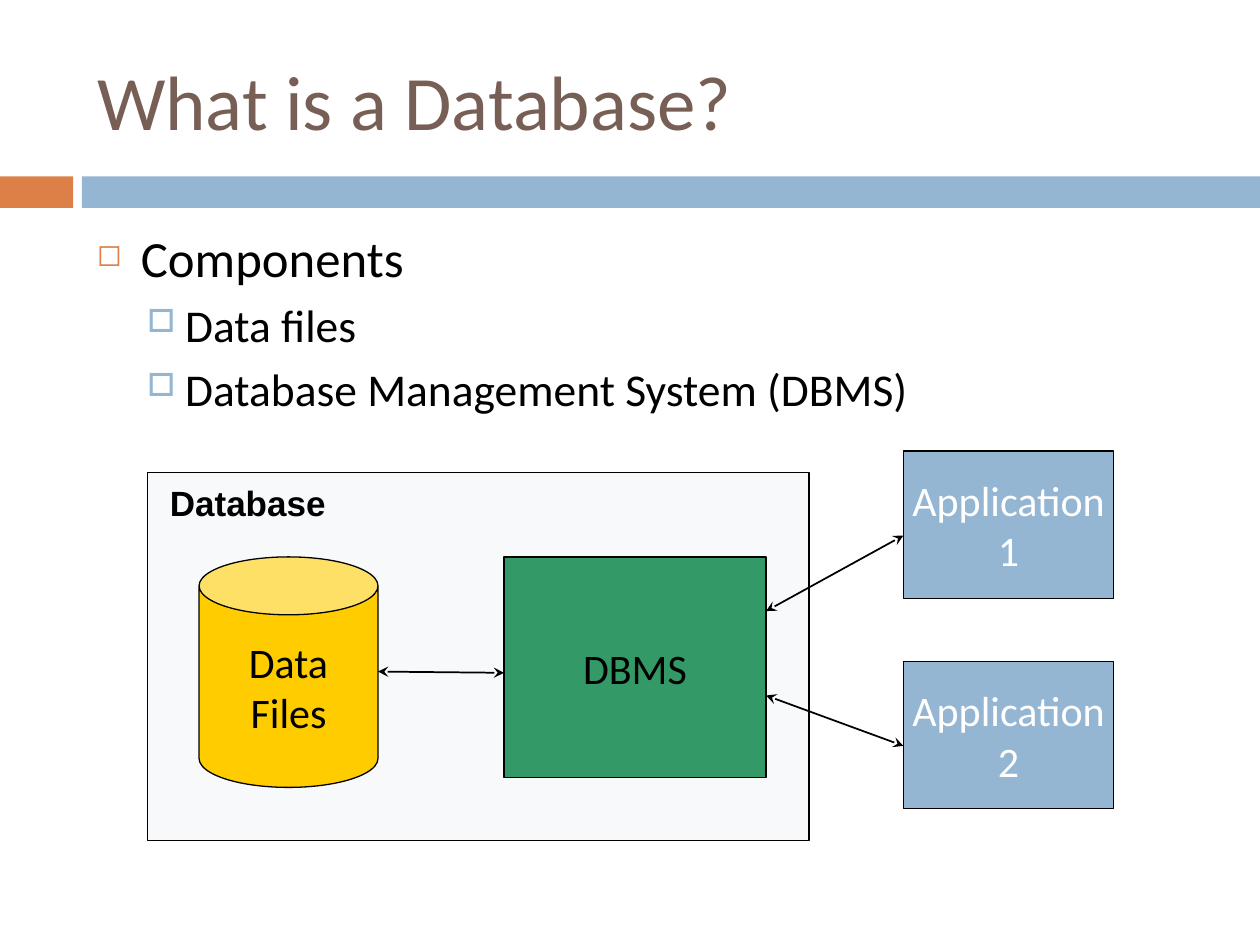
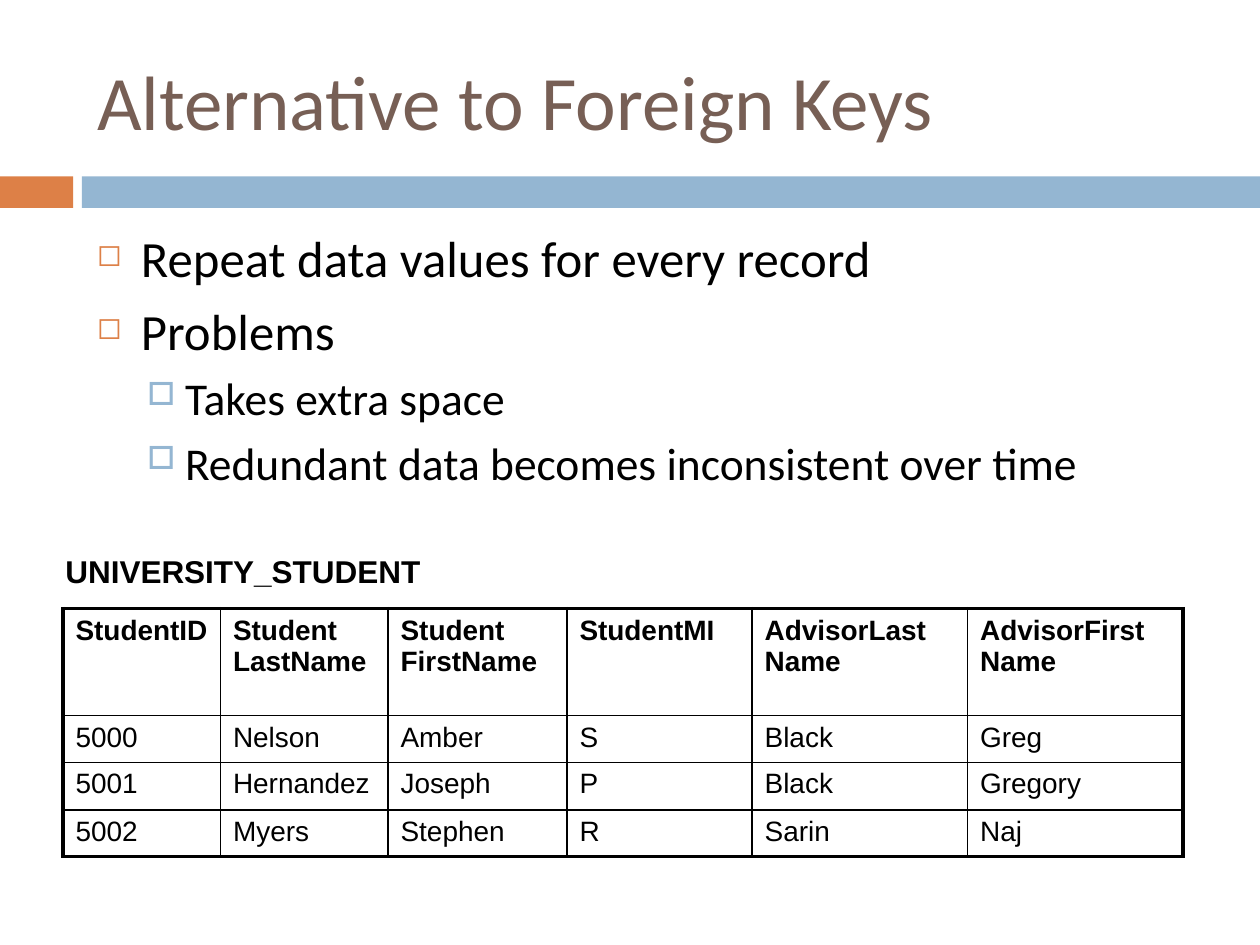
from dataclasses import dataclass

import lxml.etree
import pptx
import pptx.dml.color
import pptx.enum.shapes
import pptx.enum.text
import pptx.oxml.ns
import pptx.util

Inches, Pt = pptx.util.Inches, pptx.util.Pt
SHAPE = pptx.enum.shapes.MSO_SHAPE
ALIGN = pptx.enum.text.PP_ALIGN
ANCHOR = pptx.enum.text.MSO_ANCHOR
qn = pptx.oxml.ns.qn


@dataclass(frozen=True)
class Theme:
    black: str = "000000"
    white: str = "FFFFFF"
    brown: str = "775F55"
    orange: str = "DD8047"
    blue: str = "94B6D2"
    yellow: str = "FFCC00"
    green: str = "339966"
    font: str = "Calibri"
    label_font: str = "Arial"
    title_size: int = 44
    node_size: int = 24
    label_size: int = 20
    caption_size: int = 18
    cell_size: int = 16
    outline: float = 0.75
    thin: float = 1
    thick: float = 2.25


THEME = Theme()

# Bullet levels: text size, left indent, hanging indent, space before, mark, colour, mark size
LEVELS = [
    (29, 0.35, 0.35, 7, "◻", THEME.orange, 60),
    (26, 0.7, 0.3, 5.5, "□", THEME.blue, 70),
]
BANDS = [(0, 0.58, THEME.orange), (0.65, 9.35, THEME.blue)]  # left, width, colour

COMPONENTS_TITLE = "What is a Database?"
COMPONENTS = [
    (0, "Components"),
    (1, "Data files"),
    (1, "Database Management System (DBMS)"),
]
DATABASE_FRAME = (1.17, 3.75, 5.25, 2.92)
NODES = [  # shape, box, fill, text colour, text
    (SHAPE.CAN, (1.58, 4.42, 1.42, 1.83), THEME.yellow, THEME.black, "Data\nFiles"),
    (SHAPE.RECTANGLE, (4, 4.42, 2.08, 1.75), THEME.green, THEME.black, "DBMS"),
    (SHAPE.RECTANGLE, (7.17, 3.58, 1.67, 1.17), THEME.blue, THEME.white, "Application\n1"),
    (SHAPE.RECTANGLE, (7.17, 5.25, 1.67, 1.17), THEME.blue, THEME.white, "Application\n2"),
]
CAN_RIM = 0.324
ARROWS = [  # from x, from y, to x, to y
    (3, 5.33, 4, 5.34),
    (6.08, 4.85, 7.17, 4.25),
    (6.08, 5.52, 7.17, 5.92),
]

KEYS_TITLE = "Alternative to Foreign Keys"
KEYS = [
    (0, "Repeat data values for every record"),
    (0, "Problems"),
    (1, "Takes extra space"),
    (1, "Redundant data becomes inconsistent over time"),
]
STUDENTS = [
    ("StudentID", "Student\nLastName", "Student\nFirstName", "StudentMI",
     "AdvisorLast\nName", "AdvisorFirst\nName"),
    ("5000", "Nelson", "Amber", "S", "Black", "Greg"),
    ("5001", "Hernandez", "Joseph", "P", "Black", "Gregory"),
    ("5002", "Myers", "Stephen", "R", "Sarin", "Naj"),
]
COLUMN_WIDTHS = [1.25, 1.33, 1.42, 1.47, 1.71, 1.71]
ROW_HEIGHTS = [0.85, 0.37, 0.38, 0.37]


def rgb(color):
    return pptx.dml.color.RGBColor.from_string(color)


def inches(values):
    return [Inches(value) for value in values]


def add_xml(parent, tag, **attributes):
    return lxml.etree.SubElement(parent, qn(tag), attributes)


def style_paragraphs(frame, size, color=THEME.black, name=THEME.font, bold=False, align=ALIGN.LEFT):
    for para in frame.paragraphs:
        para.alignment = align
        para.font.size = Pt(size)
        para.font.name = name
        para.font.bold = bold
        para.font.color.rgb = rgb(color)


def add_box(page, kind, place, fill, outlined=True):
    box = page.shapes.add_shape(kind, *inches(place))
    box.shadow.inherit = False
    box.fill.solid()
    box.fill.fore_color.rgb = rgb(fill)
    if outlined:
        box.line.color.rgb = rgb(THEME.black)
        box.line.width = Pt(THEME.outline)
    else:
        box.line.fill.background()
    return box


def add_page(deck, title, bullets):
    """Add a slide with the shared bands, title and bullet list."""
    page = deck.slides.add_slide(deck.slide_layouts[5])
    for left, width, color in BANDS:
        add_box(page, SHAPE.RECTANGLE, (left, 1.4, width, 0.25), color, outlined=False)
    heading = page.shapes.title
    heading.left, heading.top, heading.width, heading.height = inches((0.67, 0.25, 8.92, 1.08))
    heading.text_frame.text = title
    heading.text_frame.vertical_anchor = ANCHOR.MIDDLE
    style_paragraphs(heading.text_frame, THEME.title_size, THEME.brown)
    add_bullets(page, bullets)
    return page


def add_bullets(page, bullets):
    frame = page.shapes.add_textbox(*inches((0.67, 1.75, 8.92, 4.92))).text_frame
    frame.word_wrap = True
    frame.text = "\n".join(text for _, text in bullets)
    for para, (level, _) in zip(frame.paragraphs, bullets):
        size, indent, hanging, before, mark, color, percent = LEVELS[level]
        para.level = level
        para.space_before = Pt(before)
        props = para._p.get_or_add_pPr()
        props.set("marL", str(Inches(indent)))
        props.set("indent", str(-Inches(hanging)))
        add_xml(add_xml(props, "a:buClr"), "a:srgbClr", val=color)
        add_xml(props, "a:buSzPct", val=str(percent * 1000))
        add_xml(props, "a:buChar", char=mark)
        para.font.size = Pt(size)
        para.font.name = THEME.font
        para.font.color.rgb = rgb(THEME.black)


def add_label(page, place, text, size):
    frame = page.shapes.add_textbox(*inches(place)).text_frame
    frame.word_wrap = False
    frame.auto_size = pptx.enum.text.MSO_AUTO_SIZE.SHAPE_TO_FIT_TEXT
    frame.text = text
    style_paragraphs(frame, size, name=THEME.label_font, bold=True)


def add_node(page, kind, place, fill, color, text):
    node = add_box(page, kind, place, fill)
    if kind == SHAPE.CAN:
        node.adjustments[0] = CAN_RIM
    frame = node.text_frame
    frame.word_wrap = False
    frame.vertical_anchor = ANCHOR.MIDDLE
    frame.text = text
    style_paragraphs(frame, THEME.node_size, color, align=ALIGN.CENTER)


def add_double_arrow(page, ends):
    arrow = page.shapes.add_connector(pptx.enum.shapes.MSO_CONNECTOR.STRAIGHT, *inches(ends))
    arrow.line.color.rgb = rgb(THEME.black)
    arrow.line.width = Pt(THEME.thin)
    line = arrow.line._get_or_add_ln()
    for end in ("a:headEnd", "a:tailEnd"):
        add_xml(line, end, type="stealth")
    add_xml(arrow._element.spPr, "a:effectLst")


def set_borders(cell, thick_sides):
    props = cell._tc.get_or_add_tcPr()
    for side in "LRTB":
        width = THEME.thick if side in thick_sides else THEME.thin
        border = add_xml(props, f"a:ln{side}", w=str(Pt(width)))
        add_xml(add_xml(border, "a:solidFill"), "a:srgbClr", val=THEME.black)


def add_student_table(page):
    place = (0.5, 4.83, sum(COLUMN_WIDTHS), sum(ROW_HEIGHTS))
    table = page.shapes.add_table(len(STUDENTS), len(COLUMN_WIDTHS), *inches(place)).table
    table.first_row = table.horz_banding = False
    for column, width in zip(table.columns, COLUMN_WIDTHS):
        column.width = Inches(width)
    for row, height in zip(table.rows, ROW_HEIGHTS):
        row.height = Inches(height)
    last_row, last_column = len(STUDENTS) - 1, len(COLUMN_WIDTHS) - 1
    for r, record in enumerate(STUDENTS):
        for c, text in enumerate(record):
            cell = table.cell(r, c)
            outer = {"L": c == 0, "R": c == last_column, "T": r == 0, "B": r == last_row}
            set_borders(cell, [side for side, is_outer in outer.items() if is_outer])
            cell.fill.background()
            cell.text_frame.text = text
            style_paragraphs(cell.text_frame, THEME.cell_size, name=THEME.label_font, bold=r == 0)


def build_components_page(deck):
    page = add_page(deck, COMPONENTS_TITLE, COMPONENTS)
    database = add_box(page, SHAPE.RECTANGLE, DATABASE_FRAME, THEME.blue)
    tint = database._element.spPr.find(qn("a:solidFill")).find(qn("a:srgbClr"))
    add_xml(tint, "a:alpha", val="7000")
    for node in NODES:
        add_node(page, *node)
    for ends in ARROWS:
        add_double_arrow(page, ends)
    add_label(page, (1.25, 3.77, 1.44, 0.43), "Database", THEME.label_size)


def build_keys_page(deck):
    page = add_page(deck, KEYS_TITLE, KEYS)
    add_student_table(page)
    add_label(page, (0.42, 4.33, 3.05, 0.4), "UNIVERSITY_STUDENT", THEME.caption_size)


def main():
    deck = pptx.Presentation()
    deck.slide_width, deck.slide_height = inches((10, 7.5))
    build_components_page(deck)
    build_keys_page(deck)
    deck.save("out.pptx")


if __name__ == "__main__":
    main()
